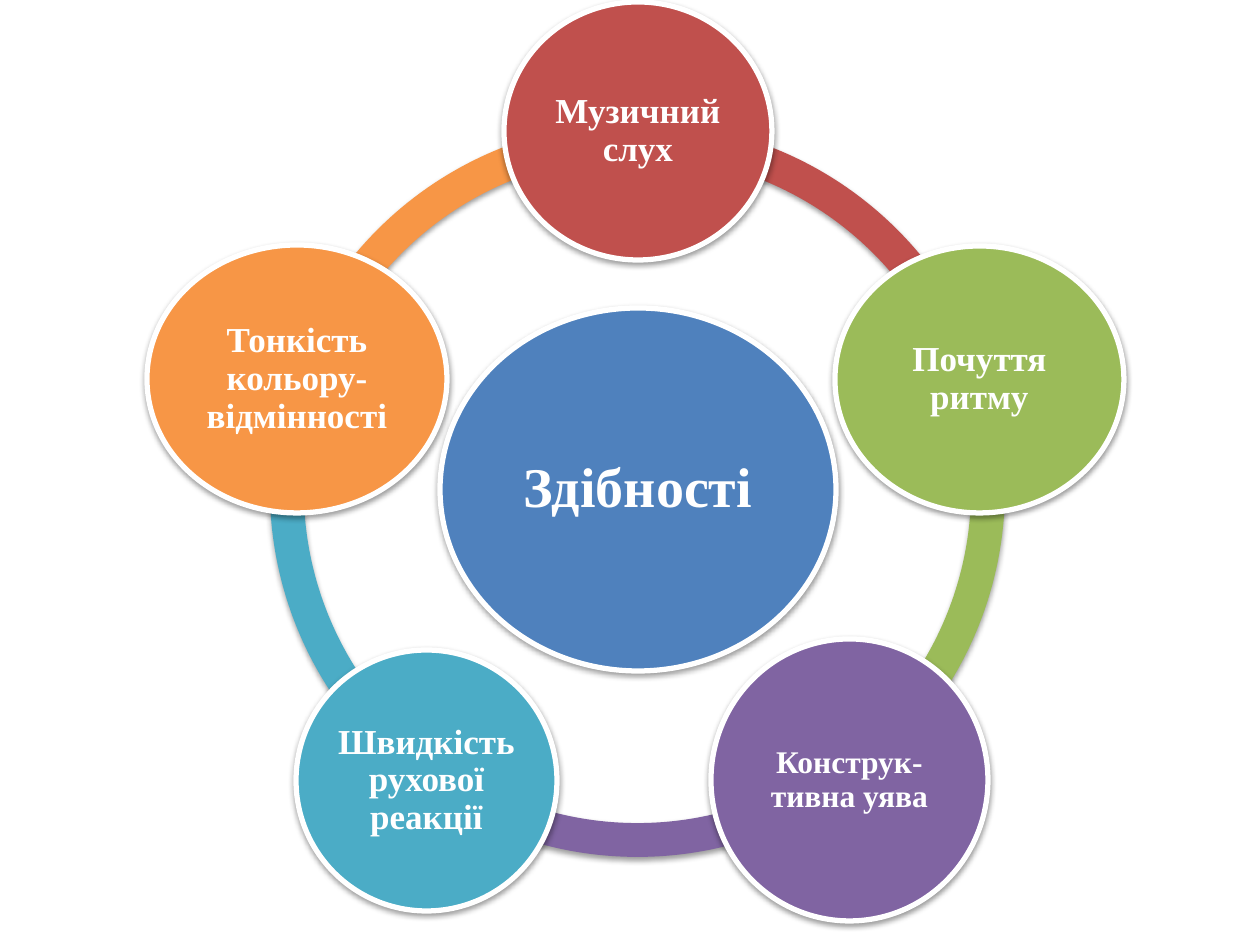
from dataclasses import dataclass
from math import cos, radians, sin

from lxml.etree import SubElement
from pptx import Presentation
from pptx.dml.color import RGBColor
from pptx.enum.shapes import MSO_SHAPE as Shape
from pptx.enum.text import MSO_ANCHOR as Anchor, PP_ALIGN as Align
from pptx.oxml.ns import qn
from pptx.util import Emu, Pt

PX = 914400 // 126
WHITE = RGBColor(0xFF, 0xFF, 0xFF)
BLUE = RGBColor(0x4F, 0x81, 0xBD)
RED = RGBColor(0xC0, 0x50, 0x4D)
GREEN = RGBColor(0x9B, 0xBB, 0x59)
PURPLE = RGBColor(0x80, 0x64, 0xA2)
TEAL = RGBColor(0x4B, 0xAC, 0xC6)
ORANGE = RGBColor(0xF7, 0x96, 0x46)

CENTER_X, CENTER_Y = 638, 490
RING_SIZE = 735
ORBIT_RADIUS = 359
TOP_ANGLE = 270


@dataclass
class Bubble:
    text: str
    color: RGBColor
    width: int
    height: int
    size: int = 20
    inset: int = 2


HUB = Bubble("Здібності", BLUE, 396, 363, size=32, inset=5)
ABILITIES = [
    Bubble("Музичний слух", RED, 268, 258),
    Bubble("Почуття ритму", GREEN, 289, 267),
    Bubble("Конструк-тивна уява", PURPLE, 277, 282, size=18),
    Bubble("Швидкість рухової реакції", TEAL, 261, 261),
    Bubble("Тонкість кольору-відмінності", ORANGE, 300, 268),
]
STEP = 360 // len(ABILITIES)


def px(value: float) -> Emu:
    return Emu(round(value) * PX)


def add_shadow(shape) -> None:
    shape.shadow.inherit = False
    effects = shape._element.spPr.find(qn("a:effectLst"))
    shadow = SubElement(effects, qn("a:outerShdw"), blurRad="40000",
                        dist="20000", dir="5400000", rotWithShape="0")
    color = SubElement(shadow, qn("a:srgbClr"), val="000000")
    SubElement(color, qn("a:alpha"), val="38000")


def add_centered(shapes, kind: Shape, x: float, y: float,
                 width: int, height: int, color: RGBColor):
    shape = shapes.add_shape(kind, px(x - width / 2), px(y - height / 2),
                             px(width), px(height))
    shape.fill.solid()
    shape.fill.fore_color.rgb = color
    add_shadow(shape)
    return shape


def write_text(shape, text: str, *, size: int, inset: int,
               color: RGBColor = WHITE, font: str = "Times New Roman") -> None:
    frame = shape.text_frame
    frame.word_wrap = True
    frame.vertical_anchor = Anchor.MIDDLE
    frame.margin_left = frame.margin_right = px(inset)
    frame.margin_top = frame.margin_bottom = px(inset)
    para = frame.paragraphs[0]
    para.alignment = Align.CENTER
    para.line_spacing = 0.9
    # Space after as a share of the line height
    after = SubElement(para._p.get_or_add_pPr(), qn("a:spcAft"))
    SubElement(after, qn("a:spcPct"), val="35000")
    span = para.add_run()
    span.text = text
    span.font.name = font
    span.font.size = Pt(size)
    span.font.bold = True
    span.font.color.rgb = color


def draw_arc(shapes, color: RGBColor, start: int) -> None:
    arc = add_centered(shapes, Shape.BLOCK_ARC, CENTER_X, CENTER_Y,
                       RING_SIZE, RING_SIZE, color)
    arc.line.fill.background()
    # Adjustments count 0.6 per degree
    arc.adjustments[0] = start % 360 * 0.6
    arc.adjustments[1] = (start + STEP) % 360 * 0.6
    arc.adjustments[2] = 0.046


def draw_bubble(shapes, bubble: Bubble, x: float, y: float) -> None:
    oval = add_centered(shapes, Shape.OVAL, x, y,
                        bubble.width, bubble.height, bubble.color)
    oval.line.color.rgb = WHITE
    oval.line.width = Pt(3)
    write_text(oval, bubble.text, size=bubble.size, inset=bubble.inset)


def main() -> None:
    deck = Presentation()
    deck.slide_width, deck.slide_height = px(1260), px(945)
    page = deck.slides.add_slide(deck.slide_layouts[6])
    shapes = page.shapes.add_group_shape().shapes
    angles = [TOP_ANGLE + STEP * index for index in range(len(ABILITIES))]
    placed = list(zip(ABILITIES, angles))

    # Ring segments, the last one at the back
    for ability, angle in reversed(placed):
        draw_arc(shapes, ability.color, angle)

    # Hub and the abilities around it
    draw_bubble(shapes, HUB, CENTER_X, CENTER_Y)
    for ability, angle in placed:
        draw_bubble(shapes, ability,
                    CENTER_X + ORBIT_RADIUS * cos(radians(angle)),
                    CENTER_Y + ORBIT_RADIUS * sin(radians(angle)))

    deck.save("out.pptx")


if __name__ == "__main__":
    main()
